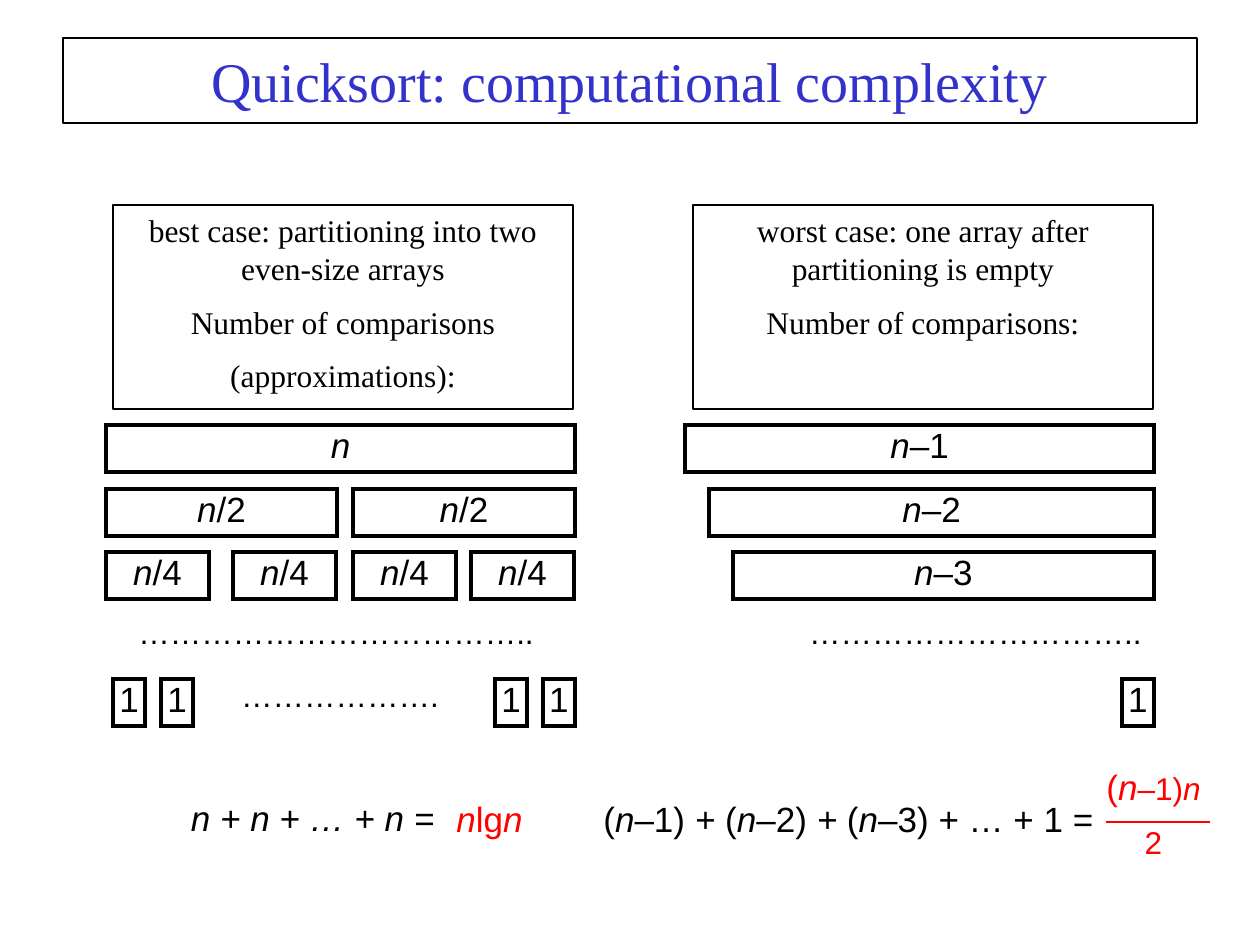
import pptx
import pptx.dml.color
import pptx.enum.shapes
import pptx.enum.text
import pptx.oxml
import pptx.oxml.ns
import pptx.util

ALIGN = pptx.enum.text.PP_ALIGN
ANCHOR = pptx.enum.text.MSO_ANCHOR
BLACK, RED, BLUE = "000000", "FF0000", "3333CC"
SERIF, SANS = "Times New Roman", "Arial"
ROW_TOPS = [425, 489, 552]
ONES_TOP = 679
ROW_HEIGHT = 47
ONE_WIDTH = 32
RIGHT_EDGE = 1154


def px(length):
    return pptx.util.Emu(round(length * 914400 / 126))


def color(value):
    return pptx.dml.color.RGBColor.from_string(value)


def write(frame, paragraphs, size, font, ink=BLACK, align=ALIGN.CENTER):
    """Fill a text frame; asterisks enclose italic parts."""
    frame.word_wrap = True
    for index, text in enumerate(paragraphs):
        paragraph = frame.paragraphs[0] if index == 0 else frame.add_paragraph()
        paragraph.alignment = align
        paragraph.space_before = pptx.util.Pt(9 if index else 0)
        paragraph.font.size = pptx.util.Pt(size)
        paragraph.font.name = font
        paragraph.font.color.rgb = color(ink)
        for part_index, part in enumerate(text.split("*")):
            if part:
                run = paragraph.add_run()
                run.text = part
                run.font.italic = part_index % 2 == 1


def add_box(slide, left, top, width, height, paragraphs, size, ink=BLACK, anchor=ANCHOR.TOP):
    shape = slide.shapes.add_shape(
        pptx.enum.shapes.MSO_SHAPE.RECTANGLE, px(left), px(top), px(width), px(height))
    shape.shadow.inherit = False
    shape.fill.background()
    shape.line.color.rgb = color(BLACK)
    shape.line.width = pptx.util.Pt(1)
    shape.text_frame.vertical_anchor = anchor
    write(shape.text_frame, paragraphs, size, SERIF, ink)


def add_text(slide, left, top, width, height, paragraphs, size, ink=BLACK, align=ALIGN.CENTER):
    box = slide.shapes.add_textbox(px(left), px(top), px(width), px(height))
    write(box.text_frame, paragraphs, size, SANS, ink, align)
    return box


def add_array(slide, left, top, width, text):
    """Draw one array as a bordered table with a single cell."""
    table = slide.shapes.add_table(1, 1, px(left), px(top), px(width), px(ROW_HEIGHT)).table
    table.first_row = table.horz_banding = False
    cell = table.cell(0, 0)
    cell.margin_left = cell.margin_right = cell.margin_top = cell.margin_bottom = px(2)
    properties = cell._tc.get_or_add_tcPr()
    for side in ("lnL", "lnR", "lnT", "lnB"):
        properties.append(pptx.oxml.parse_xml(
            f'<a:{side} {pptx.oxml.ns.nsdecls("a")} w="{pptx.util.Pt(2.25)}">'
            f'<a:solidFill><a:srgbClr val="{BLACK}"/></a:solidFill></a:{side}>'))
    cell.fill.background()
    write(cell.text_frame, [text], 20, SANS)


def add_line(slide, left, top, right, ink):
    line = slide.shapes.add_connector(
        pptx.enum.shapes.MSO_CONNECTOR.STRAIGHT, px(left), px(top), px(right), px(top))
    line.line.color.rgb = color(ink)
    line.line.width = pptx.util.Pt(1.5)
    line._element.spPr.append(
        pptx.oxml.parse_xml(f'<a:effectLst {pptx.oxml.ns.nsdecls("a")}/>'))


def add_best_case(slide):
    add_box(slide, 113, 205, 460, 204, [
        "best case: partitioning into two even-size arrays",
        "Number of comparisons", "(approximations):"], 18)
    levels = [
        ("*n*", ROW_TOPS[0], [(106, 469)]),
        ("*n*/2", ROW_TOPS[1], [(106, 231), (353, 222)]),
        ("*n*/4", ROW_TOPS[2], [(left, 103) for left in (106, 233, 353, 471)]),
        ("1", ONES_TOP, [(left, ONE_WIDTH) for left in (113, 161, 495, 543)]),
    ]
    for text, top, arrays in levels:
        for left, width in arrays:
            add_array(slide, left, top, width, text)
    add_text(slide, 98, 607, 476, 50, ["……………………………….."], 18)
    add_text(slide, 209, 670, 262, 50, ["………………."], 18)

    # Sum of comparisons
    add_text(slide, 161, 790, 286, 54, ["*n + n + … + n =*"], 20, align=ALIGN.RIGHT)
    add_text(slide, 432, 791, 103, 54, ["*n*lg*n*"], 20, RED, ALIGN.RIGHT)


def add_worst_case(slide):
    add_box(slide, 693, 205, 460, 204, [
        "worst case: one array after partitioning is empty",
        "Number of comparisons:"], 18)
    for index, top in enumerate(ROW_TOPS):
        left = 685 + 24 * index
        add_array(slide, left, top, RIGHT_EDGE - left, f"*n*–{index + 1}")
    add_array(slide, RIGHT_EDGE - ONE_WIDTH, ONES_TOP, ONE_WIDTH, "1")
    add_text(slide, 765, 607, 389, 50, ["………………………….."], 18, align=ALIGN.RIGHT)

    # Sum of comparisons
    add_text(slide, 591, 791, 515, 54,
             ["(*n*–1) *+* (*n*–2) *+* (*n*–3) + … + 1 ="], 20, align=ALIGN.RIGHT)
    fraction = add_text(slide, 1090, 759, 127, 112, ["(*n*–1)*n*", "2"], 18, RED)
    for run in fraction.text_frame.paragraphs[0].runs[:2]:
        run.font.size = pptx.util.Pt(20)
    add_line(slide, 1106, 822, 1210, RED)


def main():
    presentation = pptx.Presentation()
    presentation.slide_width, presentation.slide_height = px(1260), px(945)
    slide = presentation.slides.add_slide(presentation.slide_layouts[6])
    add_box(slide, 63, 38, 1134, 85, ["Quicksort: computational complexity"],
            32, BLUE, ANCHOR.MIDDLE)
    add_best_case(slide)
    add_worst_case(slide)
    presentation.save("out.pptx")


if __name__ == "__main__":
    main()
